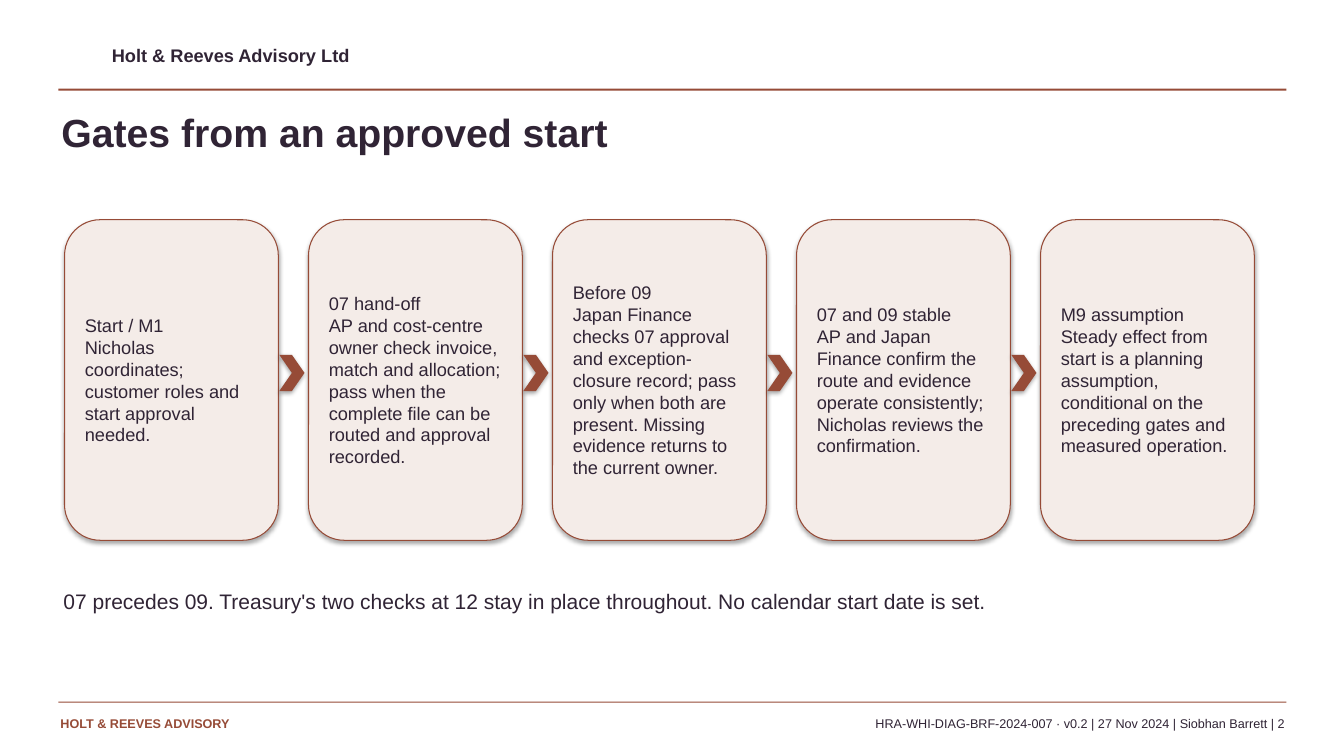
from pptx import Presentation
from pptx.dml.color import RGBColor
from pptx.enum.shapes import MSO_SHAPE
from pptx.enum.text import MSO_ANCHOR, PP_ALIGN
from pptx.util import Pt

EMU_PER_PX = 9144
RUST = RGBColor(0x96, 0x4B, 0x37)
PLUM = RGBColor(0x30, 0x24, 0x35)
CREAM = RGBColor(0xF4, 0xEC, 0xE8)
FONT = "Arial"

RECTANGLE = MSO_SHAPE.RECTANGLE
ROUNDED = MSO_SHAPE.ROUNDED_RECTANGLE
CHEVRON = MSO_SHAPE.CHEVRON
LEFT, RIGHT = PP_ALIGN.LEFT, PP_ALIGN.RIGHT
TOP, MIDDLE = MSO_ANCHOR.TOP, MSO_ANCHOR.MIDDLE

NO_INSETS = {
    "margin_left": 0, "margin_top": 0, "margin_right": 0, "margin_bottom": 0,
    "word_wrap": True, "vertical_anchor": TOP,
}
CARD_FRAME = {"word_wrap": True, "vertical_anchor": MIDDLE}
BODY = {"size": Pt(15), "bold": False}
CARD_TEXT = {"size": Pt(13), "bold": False}
BRAND = {"size": Pt(13), "bold": True}
TITLE = {"size": Pt(28), "bold": True}
FOOTER = {"size": Pt(9), "bold": False}
FOOTER_BRAND = {"size": Pt(9), "bold": True}

GATES = [
    ("Start / M1",
     "Nicholas coordinates; customer roles and start approval needed."),
    ("07 hand-off",
     "AP and cost-centre owner check invoice, match and allocation; pass when "
     "the complete file can be routed and approval recorded."),
    ("Before 09",
     "Japan Finance checks 07 approval and exception-closure record; pass only "
     "when both are present. Missing evidence returns to the current owner."),
    ("07 and 09 stable",
     "AP and Japan Finance confirm the route and evidence operate consistently; "
     "Nicholas reviews the confirmation."),
    ("M9 assumption",
     "Steady effect from start is a planning assumption, conditional on the "
     "preceding gates and measured operation."),
]
GATE_LEFT, GATE_TOP, GATE_WIDTH, GATE_HEIGHT = 64, 218, 212, 318
GATE_PITCH = 242
ARROW_GAP, ARROW_TOP, ARROW_WIDTH, ARROW_HEIGHT = 1, 352, 25, 36


def px(*lengths):
    return [length * EMU_PER_PX for length in lengths]


def apply(target, values):
    for name, value in values.items():
        setattr(target, name, value)


def write(text_frame, lines, frame_format, font_format, color=PLUM, align=LEFT):
    apply(text_frame, frame_format)
    text_frame.text = "\n".join(lines)
    for paragraph in text_frame.paragraphs:
        paragraph.alignment = align
        apply(paragraph.font, {"name": FONT, **font_format})
        paragraph.font.color.rgb = color


def add_label(slide, box, text, font_format, color=PLUM, align=LEFT):
    shape = slide.shapes.add_textbox(*px(*box))
    write(shape.text_frame, [text], NO_INSETS, font_format, color, align)


def add_filled(slide, kind, box, color, shadow=False):
    shape = slide.shapes.add_shape(kind, *px(*box))
    shape.fill.solid()
    shape.fill.fore_color.rgb = color
    shape.line.fill.background()
    if not shadow:
        shape.shadow.inherit = False
    return shape


def add_gate(slide, left, lines):
    box = (left, GATE_TOP, GATE_WIDTH, GATE_HEIGHT)
    card = add_filled(slide, ROUNDED, box, CREAM, shadow=True)
    card.line.color.rgb = RUST
    card.line.width = Pt(0.75)
    write(card.text_frame, lines, CARD_FRAME, CARD_TEXT)


def add_gates(slide):
    for index, lines in enumerate(GATES):
        left = GATE_LEFT + index * GATE_PITCH
        add_gate(slide, left, lines)
        if index < len(GATES) - 1:
            arrow_left = left + GATE_WIDTH + ARROW_GAP
            box = (arrow_left, ARROW_TOP, ARROW_WIDTH, ARROW_HEIGHT)
            add_filled(slide, CHEVRON, box, RUST, shadow=True)


def main():
    presentation = Presentation()
    presentation.slide_width, presentation.slide_height = px(1333, 750)
    slide = presentation.slides.add_slide(presentation.slide_layouts[6])

    add_label(slide, (111, 44, 600, 27), "Holt & Reeves Advisory Ltd", BRAND)
    add_filled(slide, RECTANGLE, (58, 88, 1218, 2), RUST)
    add_label(slide, (61, 107, 1200, 78), "Gates from an approved start", TITLE)

    add_gates(slide)
    add_label(
        slide, (63, 584, 1194, 80),
        "07 precedes 09. Treasury's two checks at 12 stay in place throughout. "
        "No calendar start date is set.", BODY)

    add_filled(slide, RECTANGLE, (58, 696, 1218, 1), RUST)
    add_label(slide, (60, 710, 340, 25), "HOLT & REEVES ADVISORY", FOOTER_BRAND, RUST)
    add_label(
        slide, (412, 710, 862, 22),
        "HRA-WHI-DIAG-BRF-2024-007 · v0.2 | 27 Nov 2024 | Siobhan Barrett | 2",
        FOOTER, align=RIGHT)

    presentation.save("out.pptx")


if __name__ == "__main__":
    main()
